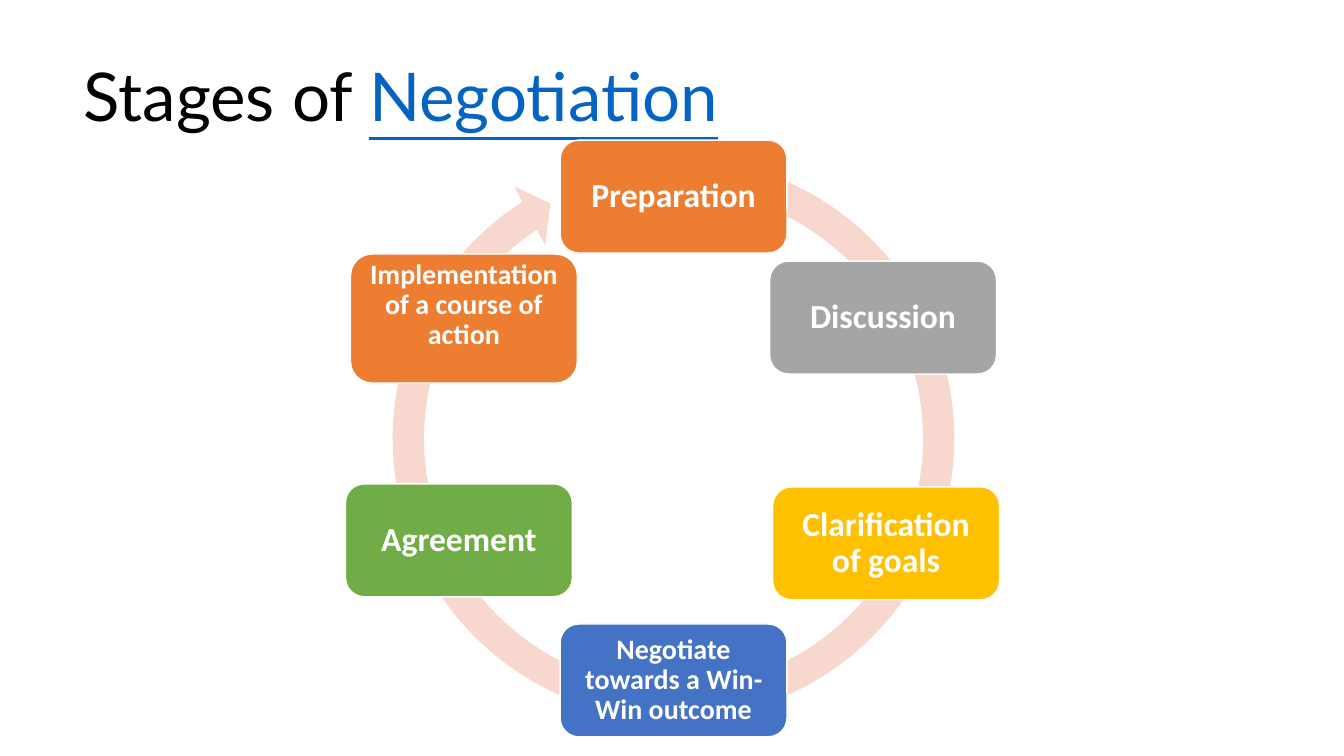
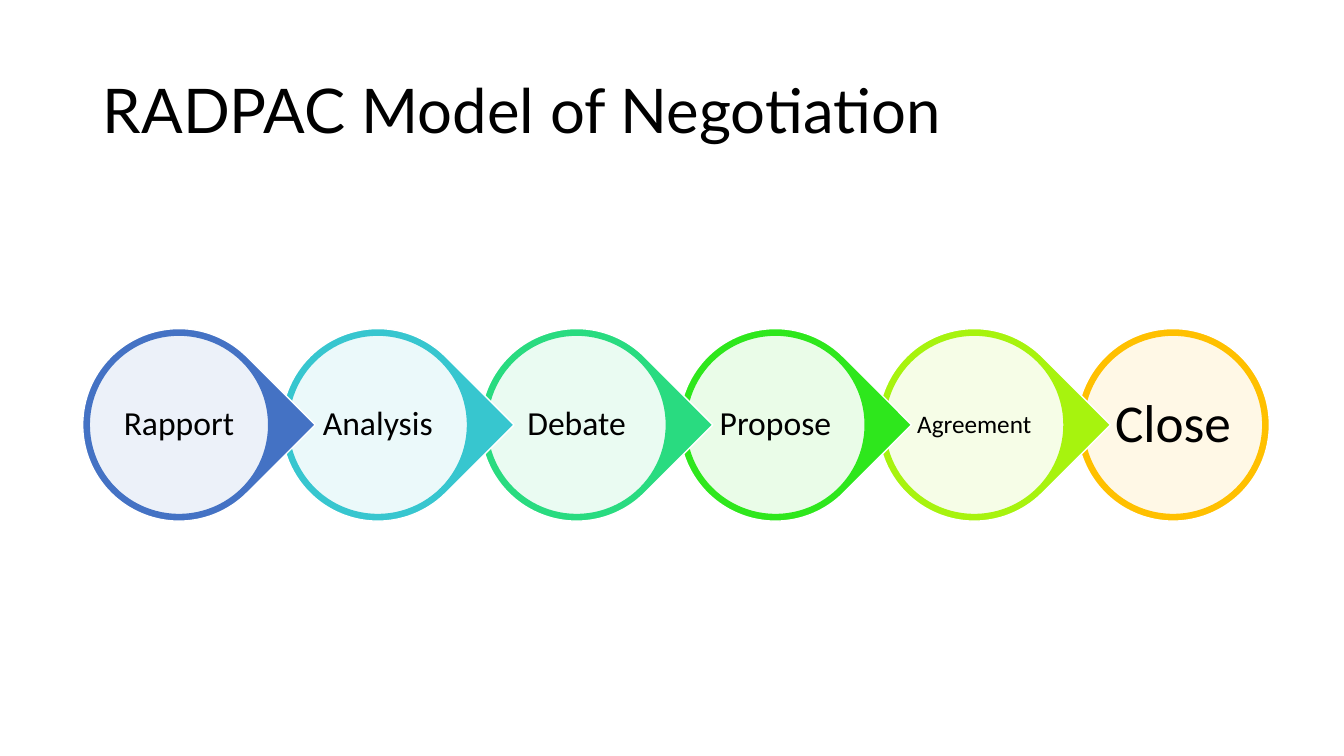
import math

import pptx
import pptx.dml.color
import pptx.enum.shapes
import pptx.enum.text
import pptx.oxml.ns
import pptx.util
from lxml import etree

SHAPE = pptx.enum.shapes.MSO_SHAPE
ALIGN = pptx.enum.text.PP_ALIGN
ANCHOR = pptx.enum.text.MSO_ANCHOR
Inches = pptx.util.Inches
Pt = pptx.util.Pt

COLORS = {
    "text": "000000", "white": "FFFFFF", "link": "0563C1", "ring": "F8D7CE",
    "orange": "ED7D31", "gray": "A5A5A5", "gold": "FFC000", "blue": "4472C4",
    "green": "70AD47", "teal": "37C6CF", "mint": "29DB80",
    "leaf": "2EE71C", "lime": "A7F30E",
}
TITLE_FONT, BODY_FONT = "Lato", "Calibri"
TITLE_SIZE = (11.5, 1.45)

# Label, colour, text size, shift from the even place on the ring, height
STAGES = [
    ("Preparation", "orange", 24, (0, 0), 1.12),
    ("Discussion", "gray", 24, (0, 0), 1.12),
    ("Clarification of goals", "gold", 24, (0.03, -0.16), 1.12),
    ("Negotiate towards a Win-Win outcome", "blue", 20, (0, 0), 1.12),
    ("Agreement", "green", 24, (-0.05, -0.19), 1.12),
    ("Implementation of a course of action", "orange", 20, (0, 0.01), 1.28),
]
STEPS = [
    ("Rapport", "blue", 24), ("Analysis", "teal", 24), ("Debate", "mint", 24),
    ("Propose", "leaf", 24), ("Agreement", "lime", 18), ("Close", "gold", 38),
]


def rgb(name):
    return pptx.dml.color.RGBColor.from_string(COLORS[name])


def add_run(p, text, size, font=BODY_FONT, color="text", bold=False, underline=False):
    r = p.add_run()
    r.text = text
    r.font.size, r.font.name = Pt(size), font
    r.font.bold, r.font.underline = bold, underline
    r.font.color.rgb = rgb(color)


def set_frame(tf, margin, anchor=ANCHOR.MIDDLE, align=ALIGN.CENTER, wrap=True):
    """Format the frame and return its first paragraph."""
    tf.word_wrap = wrap
    tf.auto_size = pptx.enum.text.MSO_AUTO_SIZE.NONE
    tf.vertical_anchor = anchor
    tf.margin_left = tf.margin_right = Inches(margin[0])
    tf.margin_top = tf.margin_bottom = Inches(margin[1])
    p = tf.paragraphs[0]
    p.alignment, p.line_spacing = align, 0.9
    return p


def add_shape(s, kind, box, fill, line=None, alpha=None):
    sp = s.shapes.add_shape(kind, *map(Inches, box))
    sp.shadow.inherit = False
    sp.fill.solid()
    sp.fill.fore_color.rgb = rgb(fill)
    if alpha is not None:
        clr = sp.fill._xPr.find(".//" + pptx.oxml.ns.qn("a:srgbClr"))
        etree.SubElement(clr, pptx.oxml.ns.qn("a:alpha")).set("val", str(alpha * 1000))
    if line:
        sp.line.color.rgb, sp.line.width = rgb(line), Pt(1)
    else:
        sp.line.fill.background()
    return sp


def add_title_slide(prs, left, top, size, parts):
    """Add a slide whose title is made of (text, format) parts."""
    s = prs.slides.add_slide(prs.slide_layouts[5])
    title = s.shapes.title
    title.left, title.top = Inches(left), Inches(top)
    title.width, title.height = map(Inches, TITLE_SIZE)
    p = set_frame(title.text_frame, (0.1, 0.05), align=ALIGN.LEFT)
    for text, style in parts:
        add_run(p, text, size, font=TITLE_FONT, **style)
    return s


def add_cycle(s, left, top, size):
    """Stages spaced evenly, clockwise from the top of a circular arrow."""
    arrow = add_shape(s, SHAPE.CIRCULAR_ARROW, (left, top, size, size), "ring")
    degrees = [5.21, 237.15, 285.44]
    values = [0.31 / size, *(d * 0.6 for d in degrees), 0.33 / size]
    for i, value in enumerate(values):
        arrow.adjustments[i] = value

    node_w, node_h = 2.25, 1.12
    radius = (size - node_h) / 2
    for i, (label, color, pts, (dx, dy), height) in enumerate(STAGES):
        angle = math.tau * i / len(STAGES)
        x = left + size / 2 + radius * math.sin(angle) + dx
        y = top + size / 2 - radius * math.cos(angle) + dy
        box = (x - node_w / 2, y - height / 2, node_w, height)
        node = add_shape(s, SHAPE.ROUNDED_RECTANGLE, box, color, line="white")
        tall = height > node_h
        p = set_frame(node.text_frame, (0.08, 0) if tall else (0.1, 0.05),
                      anchor=ANCHOR.TOP if tall else ANCHOR.MIDDLE)
        add_run(p, label, pts, color="white", bold=True)


def add_chain(s, left, top, width, size):
    """Row of round steps, each pointing over the one to its right."""
    pitch = (width - size) / (len(STEPS) - 1)
    rim = 0.065
    for i, (label, color, pts) in reversed(list(enumerate(STEPS))):
        x = left + i * pitch
        last = i == len(STEPS) - 1
        drop = add_shape(s, SHAPE.OVAL if last else SHAPE.TEAR,
                         (x, top, size, size), color, line="white")
        drop.rotation = 0 if last else 45
        inner = size - 2 * rim
        disc = add_shape(s, SHAPE.OVAL, (x + rim, top + rim, inner, inner),
                         "white", line=color, alpha=90)
        p = set_frame(disc.text_frame, (0.03, 0.03), wrap=False)
        add_run(p, label, pts)


def main():
    prs = pptx.Presentation()
    prs.slide_width, prs.slide_height = Inches(13.33), Inches(7.5)
    s = add_title_slide(prs, 0.73, 0.26, 48, [
        ("Stages of ", {}),
        ("Negotiation", {"color": "link", "underline": True}),
    ])
    add_cycle(s, 3.72, 1.39, 5.92)
    s = add_title_slide(prs, 0.92, 0.4, 44, [("RADPAC Model of Negotiation", {})])
    add_chain(s, 0.82, 3.26, 11.77, 1.91)
    prs.save("out.pptx")


if __name__ == "__main__":
    main()
